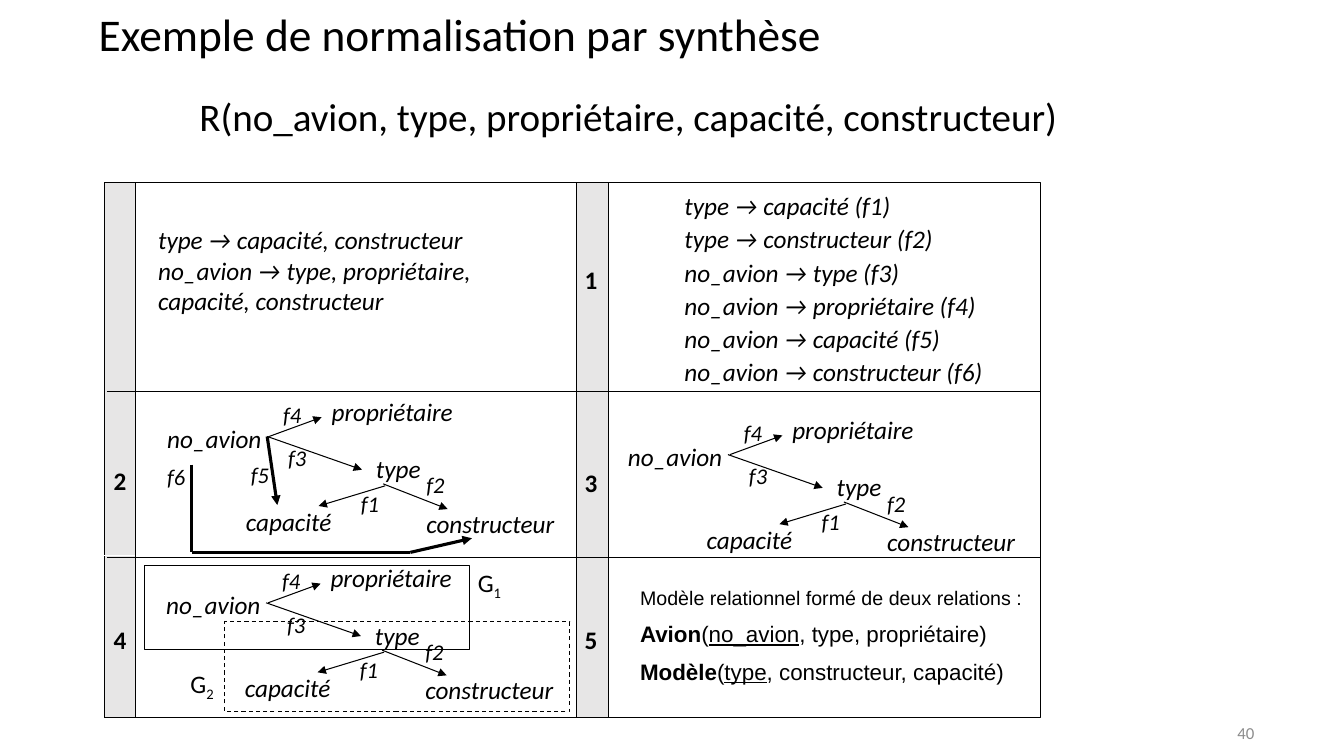
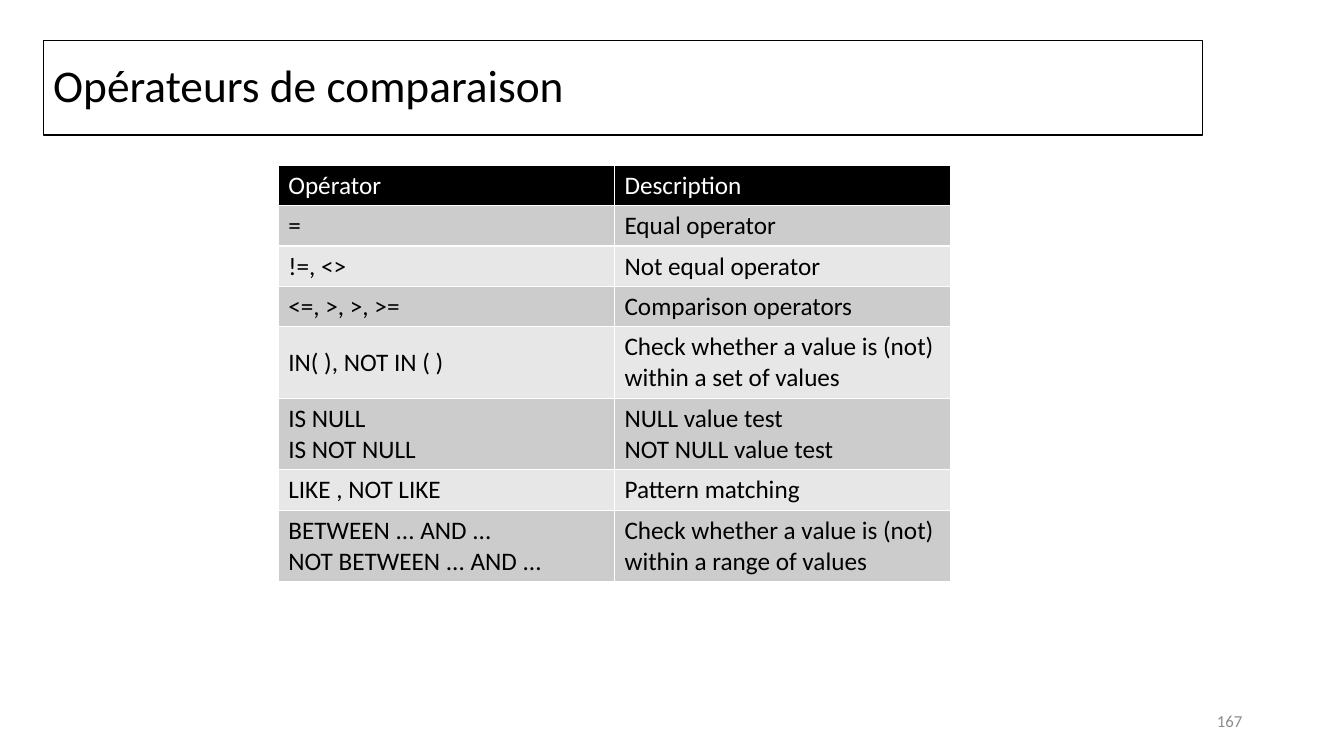
"""Builds two database course slides: normalisation by synthesis and comparison operators."""
from itertools import pairwise

from lxml.etree import SubElement
from pptx import Presentation
from pptx.dml.color import RGBColor
from pptx.enum.dml import MSO_LINE
from pptx.enum.shapes import MSO_CONNECTOR, MSO_SHAPE
from pptx.enum.text import MSO_ANCHOR, PP_ALIGN
from pptx.oxml.ns import qn
from pptx.util import Emu, Pt

EMU_PER_PX = 9144
COLOURS = {
    "ink": "000000", "paper": "FFFFFF", "band": "E7E6E6",
    "number": "8C8C8C", "odd": "CCCCCC", "even": "E7E7E7",
}
STYLES = {
    "title": {"name": "Calibri", "size": Pt(32.4)},
    "relation": {"name": "Calibri", "size": Pt(27.9)},
    "body": {"name": "Calibri", "size": Pt(18), "bold": False},
    "step": {"name": "Calibri", "size": Pt(18), "bold": True},
    "attribute": {"name": "Calibri", "size": Pt(18), "italic": True},
    "dependency": {"name": "Calibri", "size": Pt(16), "italic": True},
    "intro": {"name": "Arial", "size": Pt(14)},
    "model": {"name": "Arial", "size": Pt(16)},
    "number": {"name": "Calibri", "size": Pt(12)},
}
BOLD, UNDERLINE = {"bold": True}, {"underline": True}

COLUMNS = (104, 134, 572, 604, 1032)
ROWS = (181, 388, 553, 712)
STEPS = (("1", 570, 257), ("2", 103, 457), ("3", 570, 459), ("4", 103, 614), ("5", 570, 614))

ATTRIBUTES = (
    ("propriétaire", 54, -45, 142), ("no_avion", -109, -18, 115), ("type", 98, 12, 65),
    ("capacité", -31, 64, 106), ("constructeur", 148, 66, 148),
)
DEPENDENCIES = (("f1", 83, 48), ("f2", 148, 30), ("f3", 11, 3), ("f4", 6, -40))
REMOVED_DEPENDENCIES = (("f5", -26, 20), ("f6", -109, 22))
ARROWS = (
    ((2, 0), (54, -19)), ((0, 0), (94, 33)),
    ((117, 49), (51, 69)), ((115, 47), (179, 72)),
)
REMOVED_ARROWS = (((0, 0), (10, 68)), ((-75, 28), (-75, 115), (142, 115), (203, 101)))

OPERATORS = (
    (["Opérator"], ["Description"]),
    (["="], ["Equal operator"]),
    (["!=, <>"], ["Not equal operator"]),
    (["<=, >, >, >="], ["Comparison operators"]),
    (["IN( ), NOT IN ( )"], ["Check whether a value is (not) within a set of values"]),
    (["IS NULL", "IS NOT NULL"], ["NULL value test", "NOT NULL value test"]),
    (["LIKE , NOT LIKE"], ["Pattern matching"]),
    (["BETWEEN ... AND ...", "NOT BETWEEN ... AND ..."],
     ["Check whether a value is (not) within a range of values"]),
)
ROW_HEIGHTS = (40, 40, 40, 40, 71, 71, 40, 71)


def px(*lengths):
    """Turn px lengths into EMU."""
    return [Emu(length * EMU_PER_PX) for length in lengths]


def colour(key):
    """Return a palette colour."""
    return RGBColor.from_string(COLOURS[key])


def add_run(paragraph, text, style, ink="ink", **extra):
    """Add one formatted run."""
    run = paragraph.add_run()
    run.text = text
    for attribute, value in {**STYLES[style], **extra}.items():
        setattr(run.font, attribute, value)
    run.font.color.rgb = colour(ink)
    return run


def write(frame, lines, style, ink="ink", spacing=1.0, align=PP_ALIGN.LEFT):
    """Fill a text frame; a line is a string or a list of (text, format) pairs."""
    for index, line in enumerate(lines):
        paragraph = frame.add_paragraph() if index else frame.paragraphs[0]
        paragraph.line_spacing, paragraph.alignment = spacing, align
        for text, extra in [(line, {})] if isinstance(line, str) else line:
            add_run(paragraph, text, **{"style": style, "ink": ink, **extra})


def add_text(shapes, box, lines, style, wrap=False, anchor=MSO_ANCHOR.TOP, **layout):
    """Add a text box."""
    frame = shapes.add_textbox(*px(*box)).text_frame
    frame.word_wrap, frame.vertical_anchor = wrap, anchor
    write(frame, lines, style, **layout)


def add_box(shapes, box, fill=None, dash=None):
    """Add an outlined rectangle."""
    rectangle = shapes.add_shape(MSO_SHAPE.RECTANGLE, *px(*box))
    rectangle.shadow.inherit = False
    if fill:
        rectangle.fill.solid()
        rectangle.fill.fore_color.rgb = colour(fill)
    else:
        rectangle.fill.background()
    rectangle.line.color.rgb = colour("ink")
    rectangle.line.width = Pt(0.75)
    if dash:
        rectangle.line.dash_style = dash


def add_line(shapes, start, end, width=0.75, arrow=False, ink="ink"):
    """Add a straight line, with an arrowhead at its end if asked."""
    line = shapes.add_connector(MSO_CONNECTOR.STRAIGHT, *px(*start, *end))
    line.line.color.rgb = colour(ink)
    line.line.width = Pt(width)
    properties = line._element.spPr
    if arrow:
        SubElement(properties.find(qn("a:ln")), qn("a:tailEnd"), type="triangle")
    SubElement(properties, qn("a:effectLst"))


def add_title(shapes, box, text):
    """Add a slide title."""
    add_text(shapes, box, [text], "title", wrap=True, anchor=MSO_ANCHOR.MIDDLE, spacing=0.9)


def add_number(shapes, left, top, number):
    """Add the slide number."""
    add_text(shapes, (left, top, 300, 40), [number], "number", wrap=True,
             anchor=MSO_ANCHOR.MIDDLE, ink="number", align=PP_ALIGN.RIGHT)


def add_graph(slide, x, y, redundant=False):
    """Draw the dependency graph, its arrows leaving no_avion at (x, y)."""
    shapes = slide.shapes.add_group_shape().shapes
    for name, dx, dy, width in ATTRIBUTES:
        add_text(shapes, (x + dx, y + dy, width, 40), [name], "attribute")
    for name, dx, dy in DEPENDENCIES + (REMOVED_DEPENDENCIES if redundant else ()):
        add_text(shapes, (x + dx, y + dy, 38, 37), [name], "dependency")
    routes = [(route, 0.75) for route in ARROWS]
    if redundant:
        routes += [(route, 2.25) for route in REMOVED_ARROWS]
    for route, width in routes:
        points = [(x + dx, y + dy) for dx, dy in route]
        for start, end in pairwise(points):
            add_line(shapes, start, end, width, arrow=end == points[-1])
    return shapes


def add_group_label(shapes, left, top, index):
    """Add a G label with its subscript."""
    frame = shapes.add_textbox(*px(left, top, 45, 40)).text_frame
    frame.word_wrap = False
    add_run(frame.paragraphs[0], "G", "body")
    subscript = add_run(frame.paragraphs[0], index, "body")
    subscript._r.get_or_add_rPr().set("baseline", "-25000")


def add_grid(shapes):
    """Draw the frame, the grey step bands, the row lines and the step numbers."""
    left, right, top, bottom = COLUMNS[0], COLUMNS[-1], ROWS[0], ROWS[-1]
    for start, end in (COLUMNS[0:2], COLUMNS[2:4]):
        add_box(shapes, (start, top, end - start, bottom - top), fill="band")
    add_box(shapes, (left, top, right - left, bottom - top))
    for y in ROWS[1:-1]:
        add_line(shapes, (left + 2, y), (right, y))
    add_line(shapes, (left - 1, 551), (COLUMNS[1], 551), ink="paper")
    for step, x, y in STEPS:
        add_text(shapes, (x, y, 33, 40), [step], "step")


def add_operators(shapes):
    """Add the table of comparison operators."""
    table = shapes.add_table(len(OPERATORS), 2, *px(276, 164, 667, sum(ROW_HEIGHTS))).table
    table.horz_banding = False
    for row, height in zip(table.rows, ROW_HEIGHTS):
        row.height = px(height)[0]
    for index, entries in enumerate(OPERATORS):
        fill = "ink" if index == 0 else "odd" if index % 2 else "even"
        for cell, lines in zip(table.rows[index].cells, entries):
            cell.vertical_anchor = MSO_ANCHOR.MIDDLE
            for side in ("a:lnL", "a:lnR", "a:lnT", "a:lnB"):
                border = SubElement(cell._tc.get_or_add_tcPr(), qn(side), w=str(Pt(1)))
                SubElement(SubElement(border, qn("a:solidFill")), qn("a:srgbClr"),
                           val=COLOURS["paper"])
            cell.fill.solid()
            cell.fill.fore_color.rgb = colour(fill)
            write(cell.text_frame, lines, "body", ink="ink" if index else "paper")


def build_synthesis(slide):
    """Build the slide on normalisation by synthesis."""
    shapes = slide.shapes
    add_title(shapes, (88, 7, 1075, 60), "Exemple de normalisation par synthèse")
    add_text(shapes, (188, 90, 975, 56),
             ["R(no_avion, type, propriétaire, capacité, constructeur)"], "relation",
             wrap=True, anchor=MSO_ANCHOR.MIDDLE, spacing=0.9)
    add_grid(shapes)
    add_text(shapes, (147, 218, 363, 141),
             ["type → capacité, constructeur",
              "no_avion → type, propriétaire, capacité, constructeur"], "attribute", wrap=True)
    add_text(shapes, (669, 181, 321, 210),
             ["type → capacité (f1)", "type → constructeur (f2)", "no_avion → type (f3)",
              "no_avion → propriétaire (f4)", "no_avion → capacité (f5)",
              "no_avion → constructeur (f6)"], "attribute", spacing=1.1)
    add_graph(slide, 265, 433, redundant=True)
    add_graph(slide, 722, 451)
    grouped = add_graph(slide, 264, 598)
    add_box(grouped, (143, 561, 323, 83))
    add_box(grouped, (223, 617, 342, 89), dash=MSO_LINE.DASH)
    add_group_label(grouped, 464, 558, "1")
    add_group_label(grouped, 179, 658, "2")
    add_text(shapes, (625, 567, 406, 118), [
        [("Modèle relationnel formé de deux relations :", {"style": "intro"})],
        [("Avion", BOLD), ("(", {}), ("no_avion", UNDERLINE), (", type, propriétaire)", {})],
        [("Modèle", BOLD), ("(", {}), ("type", UNDERLINE), (", constructeur, capacité)", {})],
    ], "model", wrap=True, spacing=1.4)
    add_number(shapes, 954, 707, "40")


def build_comparison(slide):
    """Build the slide on comparison operators."""
    title_box = (43, 40, 1150, 94)
    add_box(slide.shapes, title_box)
    add_title(slide.shapes, title_box, "Opérateurs de comparaison")
    add_operators(slide.shapes)
    add_number(slide.shapes, 942, 695, "167")


def main():
    """Build and save the presentation."""
    deck = Presentation()
    deck.slide_width, deck.slide_height = px(1333, 750)
    for build in (build_synthesis, build_comparison):
        build(deck.slides.add_slide(deck.slide_layouts[6]))
    deck.save("out.pptx")


if __name__ == "__main__":
    main()
